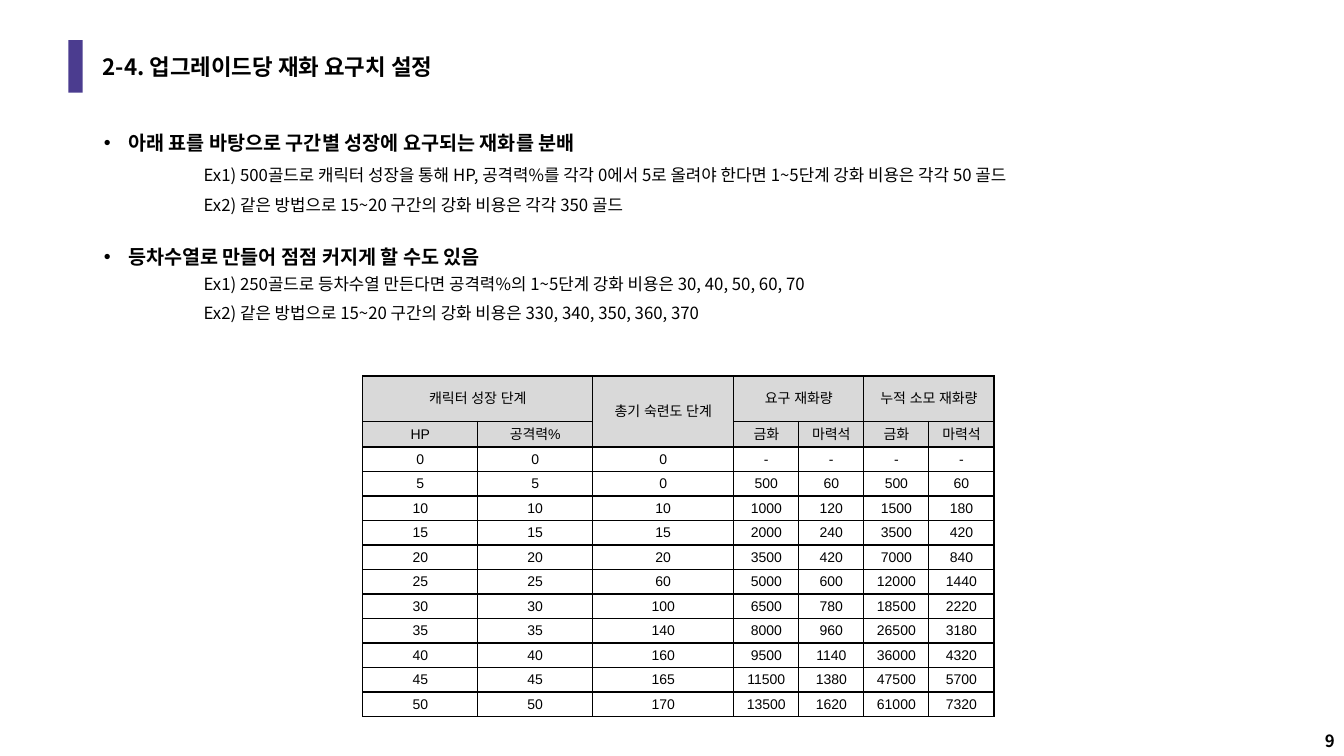
from lxml.etree import SubElement as Sub
from pptx import Presentation as Deck
from pptx.dml.color import RGBColor as RGB
from pptx.enum.shapes import MSO_SHAPE as Kind
from pptx.enum.text import MSO_ANCHOR as Anchor, MSO_AUTO_SIZE as Fit, PP_ALIGN as Align
from pptx.oxml.ns import qn
from pptx.util import Inches, Pt

WIDE, HIGH = Inches(13.333), Inches(7.5)
BLACK = RGB(0, 0, 0)
GREY = RGB(0xD9, 0xD9, 0xD9)
PURPLE = RGB(0x4B, 0x3C, 0x8F)
SANS, ARIAL = "Noto Sans CJK KR", "Arial"

LEFT, SPAN = 6.9, 86.25
TOP, BAND = 5.33, 6.93
COLS = [8.55, 8.55, 10.5] + [4.84] * 4
ROWS = [6] + [3.24] * 12

TITLE = "2-4. 업그레이드당 재화 요구치 설정"
LINES = [
    (True, 0, "아래 표를 바탕으로 구간별 성장에 요구되는 재화를 분배"),
    (False, 3, "Ex1) 500골드로 캐릭터 성장을 통해 HP, 공격력%를 각각 0에서 5로 올려야 한다면 "
               "1~5단계 강화 비용은 각각 50 골드"),
    (False, 2.4, "Ex2) 같은 방법으로 15~20 구간의 강화 비용은 각각 350 골드"),
    (True, 16.5, "등차수열로 만들어 점점 커지게 할 수도 있음"),
    (False, 0, "Ex1) 250골드로 등차수열 만든다면 공격력%의 1~5단계 강화 비용은 30, 40, 50, 60, 70"),
    (False, 1.7, "Ex2) 같은 방법으로 15~20 구간의 강화 비용은 330, 340, 350, 360, 370"),
]
HEAD = [
    ["캐릭터 성장 단계", "", "총기 숙련도 단계", "요구 재화량", "", "누적 소모 재화량", ""],
    ["HP", "공격력%", "", "금화", "마력석", "금화", "마력석"],
]
MERGES = [(0, 0, 0, 1), (0, 2, 1, 2), (0, 3, 0, 4), (0, 5, 0, 6)]
COSTS = [
    [0, 0, 0, "-", "-", "-", "-"],
    [5, 5, 0, 500, 60, 500, 60],
    [10, 10, 10, 1000, 120, 1500, 180],
    [15, 15, 15, 2000, 240, 3500, 420],
    [20, 20, 20, 3500, 420, 7000, 840],
    [25, 25, 60, 5000, 600, 12000, 1440],
    [30, 30, 100, 6500, 780, 18500, 2220],
    [35, 35, 140, 8000, 960, 26500, 3180],
    [40, 40, 160, 9500, 1140, 36000, 4320],
    [45, 45, 165, 11500, 1380, 47500, 5700],
    [50, 50, 170, 13500, 1620, 61000, 7320],
]


def across(share):
    """Turn a percentage of the slide's width into a length."""
    return int(WIDE * share / 100)


def down(share):
    """Turn a percentage of the slide's height into a length."""
    return int(HIGH * share / 100)


def area(x, y, w, h):
    """Turn four percentages into left, top, width and height."""
    return across(x), down(y), across(w), down(h)


def place(shape, *box):
    """Move a placeholder to an area given in percentages."""
    shape.left, shape.top, shape.width, shape.height = area(*box)


def write(para, text, size, face=SANS, bold=False):
    """Add one run to a paragraph and return it."""
    run = para.add_run()
    run.text = text
    font = run.font
    font.size, font.name, font.bold = Pt(size), face, bold
    font.color.rgb = BLACK
    Sub(font._element, qn("a:ea"), typeface=face)
    return run


def set_frame(frame, anchor):
    """Fix the wrapping and anchor of a text frame."""
    frame.word_wrap, frame.auto_size = True, Fit.NONE
    frame.vertical_anchor = anchor


def add_title(slide):
    """Fill the title placeholder."""
    title = slide.shapes.title
    place(title, LEFT, TOP, SPAN, BAND)
    set_frame(title.text_frame, Anchor.MIDDLE)
    para = title.text_frame.paragraphs[0]
    para.alignment, para.line_spacing = Align.LEFT, 0.9
    run = write(para, TITLE, 20, bold=True)
    run.font._element.set("cap", "small")


def add_bar(slide):
    """Draw the accent bar beside the title."""
    bar = slide.shapes.add_shape(Kind.RECTANGLE, *area(5.1, TOP, 1.05, BAND))
    bar.shadow.inherit = False
    bar.fill.solid()
    bar.fill.fore_color.rgb = PURPLE
    bar.line.fill.background()


def set_bullet(para, lead):
    """Give a lead line its bullet and an example its indent."""
    props = para._p.get_or_add_pPr()
    props.set("marL", str(Inches(0.25 if lead else 1)))
    props.set("indent", str(Inches(-0.24 if lead else 0)))
    if lead:
        tint = Sub(props, qn("a:buClr"))
        Sub(tint, qn("a:srgbClr"), val=str(BLACK))
        Sub(props, qn("a:buFont"), typeface=ARIAL)
        Sub(props, qn("a:buChar"), char="•")
    else:
        Sub(props, qn("a:buNone"))


def add_list(slide):
    """Fill the body placeholder with leads and examples."""
    body = slide.placeholders[1]
    place(body, LEFT, 15.73, SPAN, 34.27)
    frame = body.text_frame
    set_frame(frame, Anchor.TOP)
    for i, (lead, gap, text) in enumerate(LINES):
        para = frame.add_paragraph() if i else frame.paragraphs[0]
        para.line_spacing, para.space_before = 1.3, Pt(gap)
        set_bullet(para, lead)
        write(para, text, 14 if lead else 12, bold=lead)


def set_border(cell):
    """Draw a thin black line on every side of a cell."""
    props = cell._tc.get_or_add_tcPr()
    for i, side in enumerate(("lnL", "lnR", "lnT", "lnB")):
        line = props.makeelement(qn("a:" + side), {"w": str(Pt(1))})
        props.insert(i, line)
        fill = Sub(line, qn("a:solidFill"))
        Sub(fill, qn("a:srgbClr"), val=str(BLACK))


def fill_cell(cell, text, top, head):
    """Write and format one table cell."""
    cell.vertical_anchor = Anchor.MIDDLE
    cell.margin_left = cell.margin_right = Inches(0.1 if top else 0.07)
    cell.margin_top = cell.margin_bottom = Inches(0.05 if top else 0.04)
    para = cell.text_frame.paragraphs[0]
    para.alignment = Align.CENTER
    if text:
        write(para, text, 10, ARIAL)
    else:
        para.font.size = Pt(10)
    if head:
        cell.fill.solid()
        cell.fill.fore_color.rgb = GREY
    else:
        cell.fill.background()
    set_border(cell)


def add_costs(slide):
    """Build the table of upgrade costs."""
    box = area(27, 49.73, sum(COLS), sum(ROWS))
    table = slide.shapes.add_table(len(ROWS), len(COLS), *box).table
    table.first_row = table.horz_banding = False
    for col, share in zip(table.columns, COLS):
        col.width = across(share)
    for row, share in zip(table.rows, ROWS):
        row.height = down(share)
    for r, row in enumerate(HEAD + COSTS):
        for c, value in enumerate(row):
            fill_cell(table.cell(r, c), str(value), r == 0, r < len(HEAD))
    for r, c, last, end in MERGES:
        table.cell(r, c).merge(table.cell(last, end))


def add_number(slide):
    """Put the page number in the lower right corner."""
    box = slide.shapes.add_textbox(*area(93.15, 94.67, 6.9, 5.33))
    set_frame(box.text_frame, Anchor.BOTTOM)
    para = box.text_frame.paragraphs[0]
    para.alignment = Align.RIGHT
    write(para, "9", 12, bold=True)


def main():
    """Build and save the slide."""
    deck = Deck()
    deck.slide_width, deck.slide_height = WIDE, HIGH
    slide = deck.slides.add_slide(deck.slide_layouts[1])
    for add in (add_number, add_bar, add_title, add_costs, add_list):
        add(slide)
    deck.save("out.pptx")


main()
